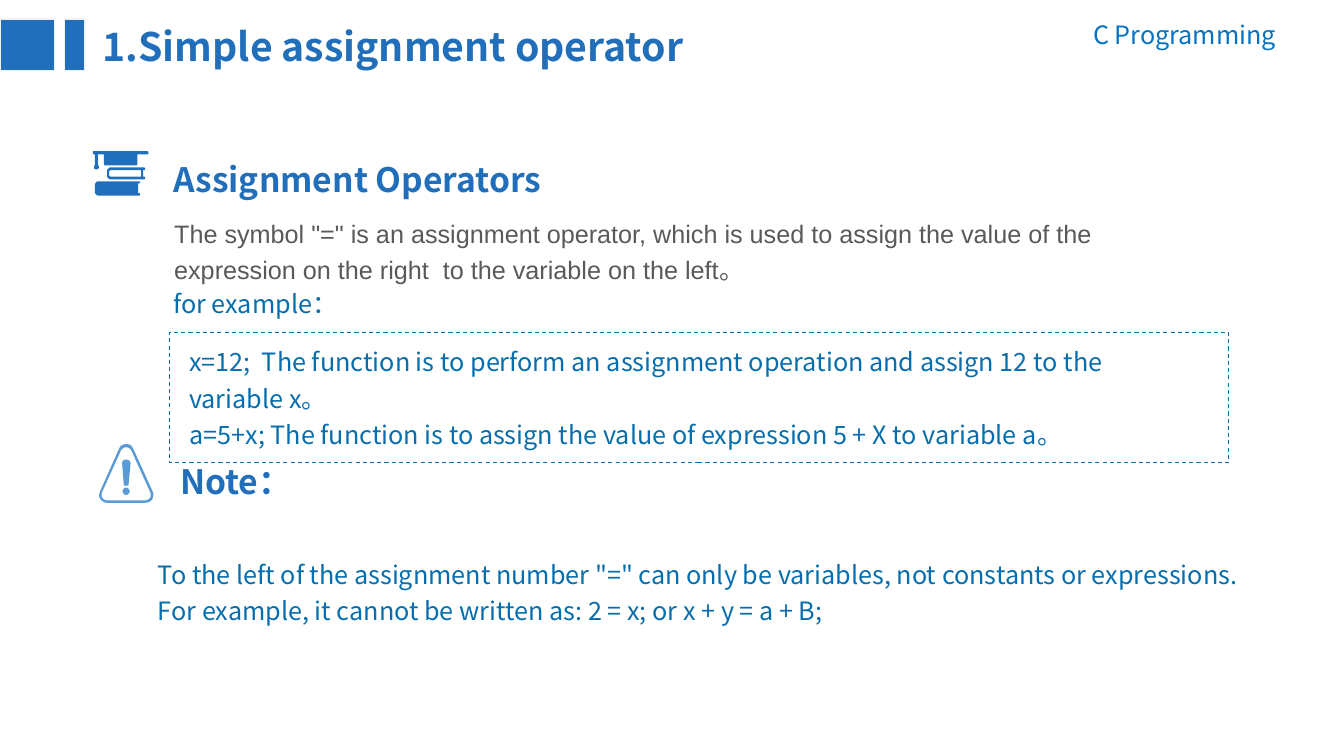
import math

import pptx
import pptx.dml.color
import pptx.enum.dml
import pptx.enum.shapes
import pptx.enum.text
import pptx.oxml
import pptx.oxml.ns
import pptx.util
from pptx.util import Cm

BLUE = pptx.dml.color.RGBColor(0x21, 0x6F, 0xBA)
BODY_BLUE = pptx.dml.color.RGBColor(0x07, 0x6E, 0xAD)
COURSE_BLUE = pptx.dml.color.RGBColor(0x05, 0x73, 0xC2)
WARNING_BLUE = pptx.dml.color.RGBColor(0x5B, 0x9B, 0xD5)
GREY = pptx.dml.color.RGBColor(0x59, 0x59, 0x59)
PALE = pptx.dml.color.RGBColor(0xF2, 0xF2, 0xF2)
FONT = "Noto Sans CJK SC"

# Icon outlines: corners as (x, y, radius), in hundredths of a centimetre.
BOOKS = [
    [(5, 76, 11), (119, 76, 2), (119, 81, 2), (114, 81, 0),
     (114, 106, 0), (119, 106, 2), (119, 112, 2), (5, 112, 11)],
    [(36, 41, 10), (132, 41, 3), (132, 48, 3), (127, 48, 0),
     (127, 64, 0), (132, 64, 3), (132, 71, 3), (36, 71, 10)],
    [(41, 48, 4), (122, 48, 0), (122, 64, 0), (41, 64, 4)],
    [(0, 0, 3), (140, 0, 3), (140, 8, 3), (112, 8, 0), (112, 36, 3),
     (28, 36, 3), (28, 8, 0), (13, 8, 0), (13, 36, 0), (15, 36, 2),
     (15, 46, 5), (3, 46, 5), (3, 36, 2), (5, 36, 0), (5, 8, 0), (0, 8, 3)],
]
WARNING = [
    [(67, -30, 20), (147, 147, 20), (-12, 147, 20)],
    [(67, -13, 14), (137, 141, 14), (-3, 141, 14)],
    [(56, 38, 10), (79, 38, 10), (73, 104, 3), (61, 104, 3)],
    [(58, 109, 9), (76, 109, 9), (76, 127, 9), (58, 127, 9)],
]


def round_corners(corners, steps=6):
    """Return the outline's points, each corner replaced by an arc."""
    points = []
    for index, (x, y, radius) in enumerate(corners):
        if not radius:
            points.append((x, y))
            continue
        before = corners[index - 1]
        after = corners[(index + 1) % len(corners)]
        start = math.atan2(before[1] - y, before[0] - x)
        turn = math.remainder(math.atan2(after[1] - y, after[0] - x) - start, math.tau)
        reach = radius / math.sin(abs(turn) / 2)
        middle = start + turn / 2
        centre_x = x + reach * math.cos(middle)
        centre_y = y + reach * math.sin(middle)
        sweep = math.copysign(math.pi - abs(turn), turn)
        for step in range(steps + 1):
            angle = middle + math.pi + sweep * (0.5 - step / steps)
            points.append((centre_x + radius * math.cos(angle),
                           centre_y + radius * math.sin(angle)))
    return points


def add_icon(page, left, top, outlines, color):
    contours = [round_corners(outline) for outline in outlines]
    builder = page.shapes.build_freeform(*contours[0][0], scale=Cm(0.01))
    for contour in contours:
        builder.move_to(*contour[0])
        builder.add_line_segments(contour[1:], close=True)
    icon = builder.convert_to_shape(left, top)
    icon.shadow.inherit = False
    icon.fill.solid()
    icon.fill.fore_color.rgb = color
    icon.line.fill.background()


def format_span(span, size, color, bold=False, font=FONT):
    span.font.size = pptx.util.Pt(size)
    span.font.color.rgb = color
    span.font.bold = bold
    span.font.name = font
    east_asian = pptx.oxml.parse_xml(
        f'<a:ea {pptx.oxml.ns.nsdecls("a")} typeface="{FONT}"/>')
    span.font._element.find(pptx.oxml.ns.qn("a:latin")).addnext(east_asian)


def add_text(page, box, text, size, color, bold=False, spacing=1.2, font=FONT):
    frame = page.shapes.add_textbox(*box).text_frame
    frame.word_wrap = True
    frame.text = text
    for para in frame.paragraphs:
        para.line_spacing = spacing
        for span in para.runs:
            format_span(span, size, color, bold, font)
    return frame


def add_rectangle(page, box, line_color, line_width, fill_color=None):
    shape = page.shapes.add_shape(pptx.enum.shapes.MSO_SHAPE.RECTANGLE, *box)
    shape.shadow.inherit = False
    if fill_color is None:
        shape.fill.background()
    else:
        shape.fill.solid()
        shape.fill.fore_color.rgb = fill_color
    shape.line.color.rgb = line_color
    shape.line.width = pptx.util.Pt(line_width)
    return shape


def add_header(page, left, top, width):
    for offset, bar_width in ((0, 1.37), (1.63, 0.51)):
        bar = (left + Cm(offset), top + Cm(0.05), Cm(bar_width), Cm(1.3))
        add_rectangle(page, bar, PALE, 1, BLUE)
    add_text(page, (left + Cm(2.34), top, Cm(18.67), Cm(3.84)),
             "1.Simple assignment operator", 28, BLUE, True, 1)
    course = add_text(page, (left + width - Cm(9.08), top - Cm(0.07), Cm(7.62), Cm(1.02)),
                      "C Programming", 18, COURSE_BLUE, spacing=1)
    course.paragraphs[0].alignment = pptx.enum.text.PP_ALIGN.RIGHT


def add_operators(page, left, top, width):
    add_icon(page, left, top + Cm(0.13), BOOKS, BLUE)
    text_left = left + Cm(1.78)
    add_text(page, (text_left, top, width, Cm(1.47)), "Assignment Operators", 24, BLUE, True)

    example = (left + Cm(1.93), top + Cm(4.7), Cm(26.7), Cm(3.28))
    frame = add_rectangle(page, example, BODY_BLUE, 0.75)
    frame.line.dash_style = pptx.enum.dml.MSO_LINE.DASH
    add_text(page, (left + Cm(2.18), top + Cm(4.78), Cm(25.86), Cm(3.02)),
             "x=12;  The function is to perform an assignment operation and assign 12 "
             "to the variable x。\n"
             "a=5+x; The function is to assign the value of expression 5 + X to variable a。",
             18, BODY_BLUE)
    add_text(page, (text_left, top + Cm(3.3), Cm(10.21), Cm(1.17)),
             "for example：", 18, BODY_BLUE)

    meaning = add_text(page, (left + Cm(1.8), top + Cm(1.55), Cm(26.49), Cm(2.11)),
                       'The symbol "=" is an assignment operator, which is used to assign '
                       "the value of the expression on the right  to the variable on the left",
                       18, GREY, font="Arial")
    full_stop = meaning.paragraphs[0].add_run()
    full_stop.text = "。"
    format_span(full_stop, 18, GREY)


def add_note(page, left, top, width):
    add_icon(page, left, top, WARNING, WARNING_BLUE)
    add_text(page, (left + Cm(1.78), top + Cm(0.08), Cm(10.21), Cm(1.47)),
             "Note：", 24, BLUE, True)
    add_text(page, (left + Cm(1.22), top + Cm(2.62), width, Cm(2.11)),
             'To the left of the assignment number "=" can only be variables, not constants '
             "or expressions. For example, it cannot be written as: 2 = x; or x + y = a + B;",
             18, BODY_BLUE)


def main():
    deck = pptx.Presentation()
    deck.slide_width, deck.slide_height = Cm(33.87), Cm(19.05)
    page = deck.slides.add_slide(deck.slide_layouts[6])
    add_header(page, Cm(0), Cm(0.43), deck.slide_width)
    add_operators(page, Cm(2.34), Cm(3.68), Cm(31.19))
    add_note(page, Cm(2.51), Cm(11.2), Cm(28.68))
    deck.save("out.pptx")


if __name__ == "__main__":
    main()
